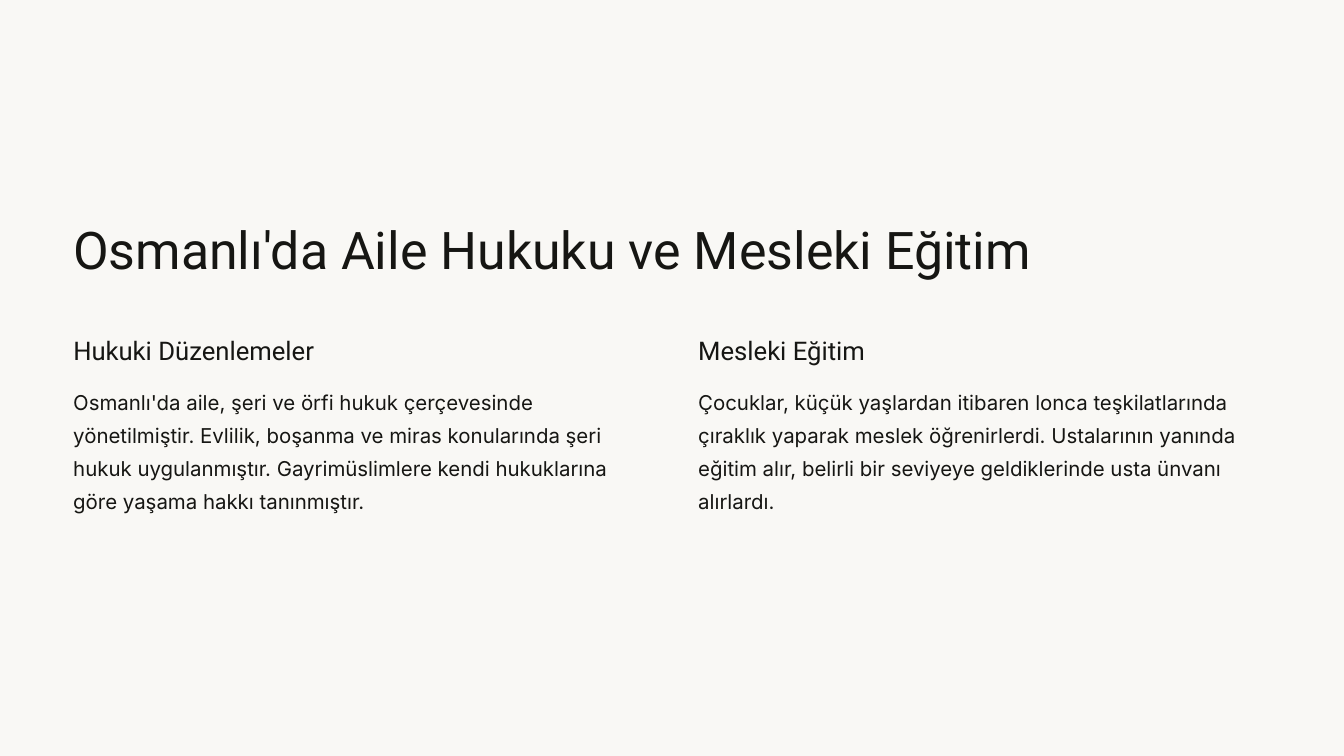
from dataclasses import dataclass

from pptx import Presentation
from pptx.dml.color import RGBColor
from pptx.enum.text import MSO_ANCHOR, MSO_AUTO_SIZE, PP_ALIGN
from pptx.util import Inches, Pt


@dataclass(frozen=True)
class Theme:
    base: RGBColor = RGBColor(0xE6, 0xE2, 0xDB)
    paper: RGBColor = RGBColor(0xF9, 0xF8, 0xF5)
    ink: RGBColor = RGBColor(0x16, 0x16, 0x13)
    # font, size and line pitch in points
    title: tuple = ("Roboto", 55.62, 69.4)
    head: tuple = ("Roboto", 27.5, 34.4)
    body: tuple = ("Inter", 21.87, 35.6)


THEME = Theme()
WIDE, HIGH = 20, 11.25
FRAME = {
    "margin_left": 0, "margin_top": 0, "margin_right": 0, "margin_bottom": 0,
    "word_wrap": True, "auto_size": MSO_AUTO_SIZE.NONE,
    "vertical_anchor": MSO_ANCHOR.TOP,
}
TITLE = "Osmanlı'da Aile Hukuku ve Mesleki Eğitim"
TOPICS = [
    ("Hukuki Düzenlemeler",
     "Osmanlı'da aile, şeri ve örfi hukuk çerçevesinde yönetilmiştir. "
     "Evlilik, boşanma ve miras konularında şeri hukuk uygulanmıştır. "
     "Gayrimüslimlere kendi hukuklarına göre yaşama hakkı tanınmıştır."),
    ("Mesleki Eğitim",
     "Çocuklar, küçük yaşlardan itibaren lonca teşkilatlarında çıraklık "
     "yaparak meslek öğrenirlerdi. Ustalarının yanında eğitim alır, belirli "
     "bir seviyeye geldiklerinde usta ünvanı alırlardı."),
]


def apply(target, values):
    for name, value in values.items():
        setattr(target, name, value)


def write(shape, text, style):
    face, size, pitch = style
    frame = shape.text_frame
    frame.text = text
    apply(frame, FRAME)
    para = frame.paragraphs[0]
    apply(para, {"alignment": PP_ALIGN.LEFT, "line_spacing": Pt(pitch),
                 "space_before": Pt(0)})
    font = para.runs[0].font
    apply(font, {"name": face, "size": Pt(size)})
    font.color.rgb = THEME.ink


def add_sheet(slide, left, top, width, height, color):
    """Cover the box with one plain colour, behind the title."""
    group = slide.shapes.add_group_shape()
    pen = group.shapes.build_freeform(Inches(left), Inches(top))
    right, foot = Inches(left + width), Inches(top + height)
    pen.add_line_segments([(right, Inches(top)), (right, foot),
                           (Inches(left), foot)])
    sheet = pen.convert_to_shape()
    sheet.shadow.inherit = False
    sheet.fill.solid()
    sheet.fill.fore_color.rgb = color
    sheet.line.fill.background()
    slide.shapes.title.element.addprevious(group.element)


def add_title(slide, left, top, width, height):
    title = slide.shapes.title
    apply(title, {"left": Inches(left), "top": Inches(top),
                  "width": Inches(width), "height": Inches(height)})
    write(title, TITLE, THEME.title)


def add_topic(slide, left, top, width, head, body):
    """Place a heading with its text below it."""
    rows = [(head, THEME.head, 0, 3.88, 0.49),
            (body, THEME.body, 0.71, width, 2.08)]
    for text, style, drop, wide, high in rows:
        box = slide.shapes.add_textbox(Inches(left), Inches(top + drop),
                                       Inches(wide), Inches(high))
        write(box, text, style)


def main():
    deck = Presentation()
    apply(deck, {"slide_width": Inches(WIDE), "slide_height": Inches(HIGH)})
    slide = deck.slides.add_slide(deck.slide_layouts[5])
    for color in (THEME.base, THEME.paper):
        add_sheet(slide, 0, 0, WIDE, HIGH, color)

    left, width, gap = 1.09, 8.54, 0.76
    add_title(slide, left, 3.2, 14.92, 0.99)
    for i, (head, body) in enumerate(TOPICS):
        add_topic(slide, left + i * (width + gap), 4.96, width, head, body)
    deck.save("out.pptx")


if __name__ == "__main__":
    main()
